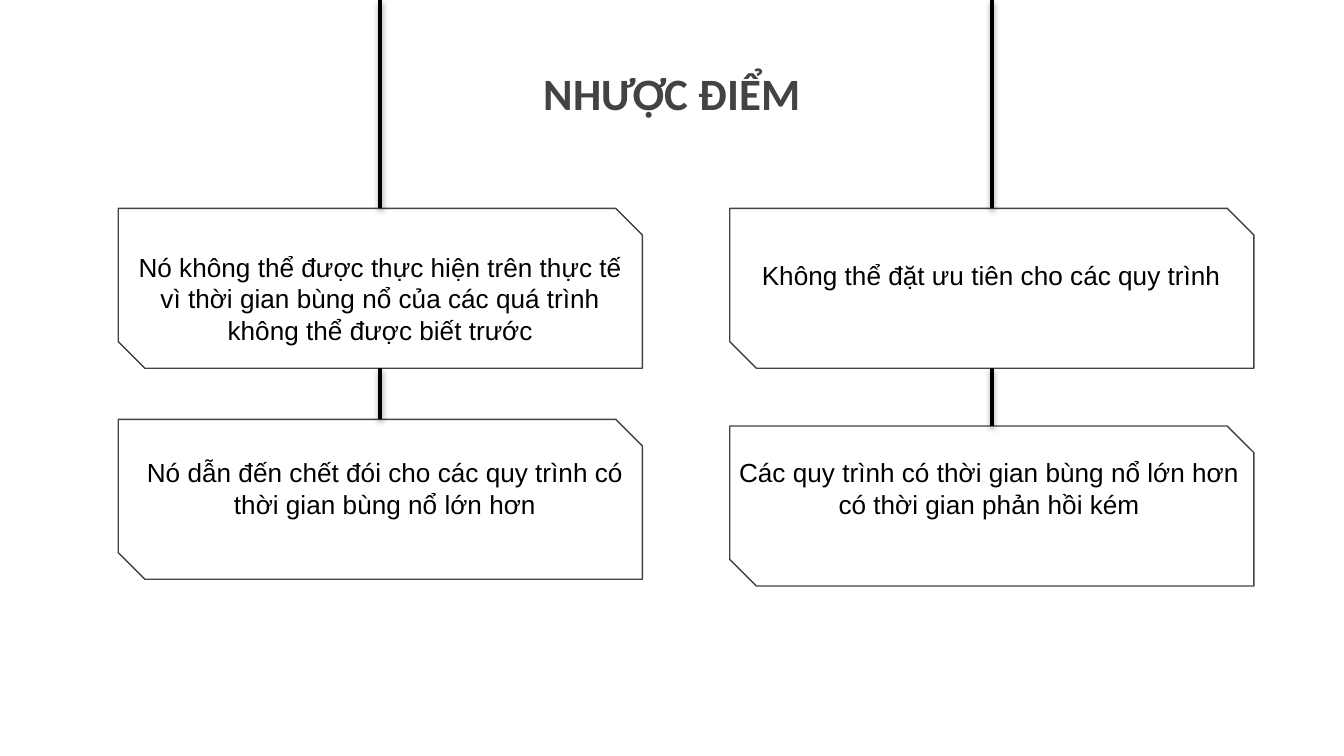
from lxml import etree
from pptx import Presentation
from pptx.dml.color import RGBColor
from pptx.enum import shapes, text
from pptx.oxml.ns import qn
from pptx.util import Inches, Pt

BLACK = RGBColor(0x00, 0x00, 0x00)
GRAY = RGBColor(0x43, 0x43, 0x43)

CARD_W, CARD_H = 3.9, 1.19
FIRST_TOP = 1.55

# Each column: card left, top of the second card
COLUMNS = [(0.88, 3.12), (5.43, 3.17)]

# Each caption: left, top, width, height, wrap, alignment, wording
CAPTIONS = [
    (0.88, 1.82, 3.9, 0.81, True, text.PP_ALIGN.CENTER,
     "Nó không thể được thực hiện trên thực tế vì thời gian bùng nổ "
     "của các quá trình không thể được biết trước"),
    (0.95, 3.35, 3.83, 0.57, True, text.PP_ALIGN.CENTER,
     "Nó dẫn đến chết đói cho các quy trình có thời gian bùng nổ lớn hơn"),
    (5.57, 1.88, 3.63, 0.34, False, text.PP_ALIGN.LEFT,
     "Không thể đặt ưu tiên cho các quy trình"),
    (5.39, 3.35, 3.94, 0.57, True, text.PP_ALIGN.CENTER,
     "Các quy trình có thời gian bùng nổ lớn hơn có thời gian phản hồi kém"),
]


def add_text(s, x, y, w, h, words, size, font, color, bold=False,
             wrap=True, align=text.PP_ALIGN.CENTER):
    box = s.shapes.add_textbox(Inches(x), Inches(y), Inches(w), Inches(h))
    tf = box.text_frame
    tf.word_wrap = wrap
    p = tf.paragraphs[0]
    p.alignment = align
    r = p.add_run()
    r.text = words
    r.font.size = Pt(size)
    r.font.name = font
    r.font.bold = bold
    r.font.color.rgb = color
    return tf


def add_card(s, x, y):
    sp = s.shapes.add_shape(shapes.MSO_SHAPE.SNIP_2_DIAG_RECTANGLE,
                            Inches(x), Inches(y), Inches(CARD_W), Inches(CARD_H))
    sp.shadow.inherit = False
    sp.fill.background()
    sp.line.color.rgb = GRAY
    sp.line.width = Pt(0.75)


def add_hanger(s, x, top, bottom):
    line = s.shapes.add_connector(shapes.MSO_CONNECTOR.STRAIGHT, Inches(x),
                                  Inches(top), Inches(x), Inches(bottom))
    line.line.color.rgb = BLACK
    line.line.width = Pt(2)
    # Soft shadow straight below the line
    effects = etree.SubElement(line._element.spPr, qn("a:effectLst"))
    shadow = etree.SubElement(effects, qn("a:outerShdw"), blurRad=str(Pt(3.1)),
                              dist=str(Pt(1.6)), dir="5400000", rotWithShape="0")
    tint = etree.SubElement(shadow, qn("a:srgbClr"), val=str(BLACK))
    etree.SubElement(tint, qn("a:alpha"), val="38000")


def main():
    # Widescreen 16:9 slide
    prs = Presentation()
    prs.slide_width, prs.slide_height = Inches(10), Inches(10 * 9 / 16)
    s = prs.slides.add_slide(prs.slide_layouts[6])

    # Title
    tf = add_text(s, 2.15, 0.39, 5.7, 1.03, "NHƯỢC ĐIỂM", 24, "Calibri", GRAY, bold=True)
    tf.margin_top = tf.margin_bottom = Inches(0.1)

    # Captions
    for x, y, w, h, wrap, align, words in CAPTIONS:
        tf = add_text(s, x, y, w, h, words, 14, "Arial", BLACK, wrap=wrap, align=align)
        tf.auto_size = text.MSO_AUTO_SIZE.SHAPE_TO_FIT_TEXT

    # Two hanging columns of cards
    for left, second_top in COLUMNS:
        center = left + CARD_W / 2
        add_card(s, left, FIRST_TOP)
        add_card(s, left, second_top)
        add_hanger(s, center, 0, FIRST_TOP)
        add_hanger(s, center, FIRST_TOP + CARD_H, second_top)

    prs.save("out.pptx")


if __name__ == "__main__":
    main()
